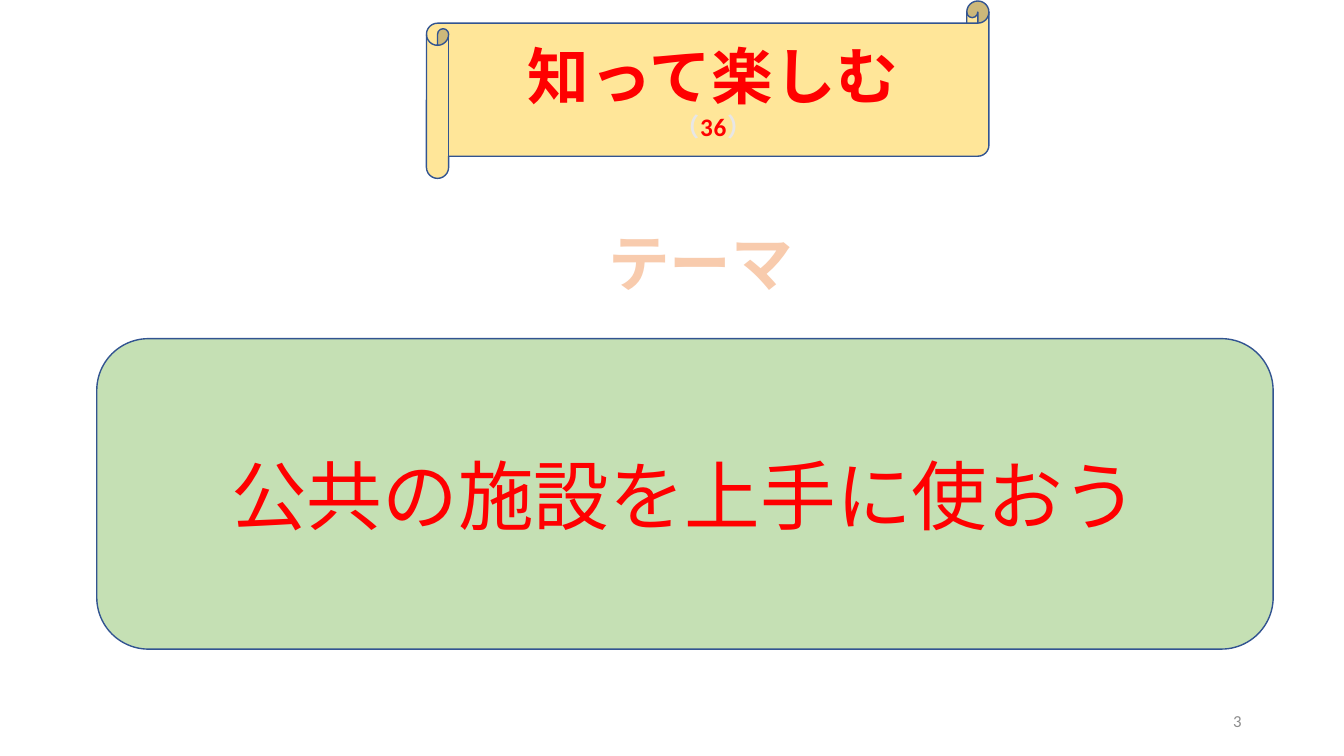
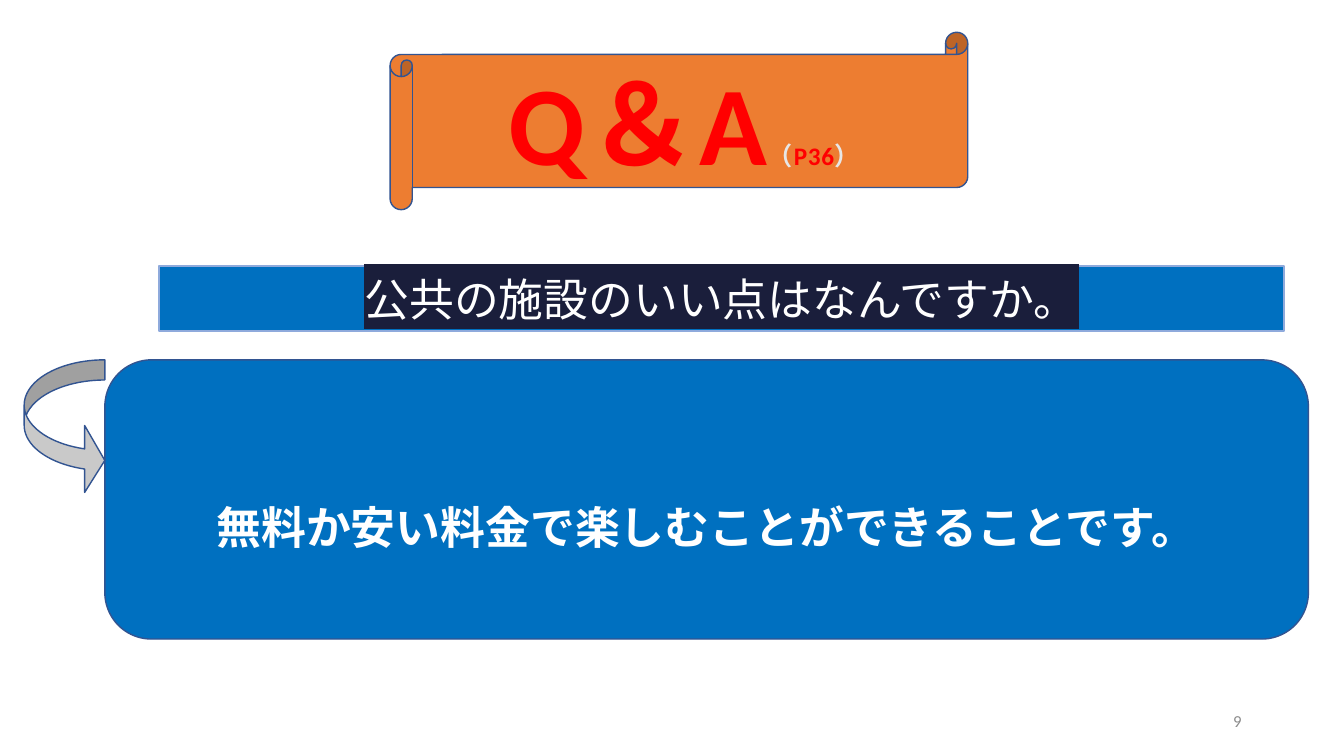
from dataclasses import dataclass

from lxml import etree
from pptx import Presentation
from pptx import util as u
from pptx.dml.color import RGBColor
from pptx.enum import lang, shapes, text
from pptx.oxml.ns import qn

COLOURS = {
    "red": "FF0000", "white": "FFFFFF", "pale": "E7E6E6", "grey": "8C8C8C",
    "silver": "C9C9C9", "navy": "325491", "sky": "8FAADC", "blue": "0070C0",
    "ink": "1A1E3B", "green": "C5E0B4", "cream": "FFE699", "orange": "ED7D31",
    "peach": "F8CBAD",
}
LATIN, JAPANESE = "Calibri", "Noto Sans CJK JP"
WIDTH, HEIGHT = u.Inches(13.333), u.Inches(7.5)
KIND = shapes.MSO_SHAPE
CENTRE, RIGHT = text.PP_ALIGN.CENTER, text.PP_ALIGN.RIGHT
TOP, MIDDLE = text.MSO_ANCHOR.TOP, text.MSO_ANCHOR.MIDDLE


@dataclass(frozen=True)
class Area:
    """Place and size, in percent of the slide's width and height."""
    left: float
    top: float
    width: float
    height: float

    def lengths(self) -> list[int]:
        return [round(share * side / 100) for share, side in
                zip((self.left, self.top, self.width, self.height),
                    (WIDTH, HEIGHT, WIDTH, HEIGHT))]


@dataclass(frozen=True)
class Span:
    words: str
    size: float
    colour: str
    bold: bool = False
    font: str = LATIN
    spacing: float = 0
    outline: str = ""
    highlight: str = ""


Lines = tuple[tuple[Span, ...], ...]


@dataclass(frozen=True)
class Box:
    area: Area
    lines: Lines = ()
    kind: KIND | None = None  # None makes a plain text box
    fill: str = ""
    line: str = "navy"
    line_width: float = 1
    align: text.PP_ALIGN = CENTRE
    anchor: text.MSO_ANCHOR = MIDDLE
    line_spacing: float = 1
    adjustments: tuple[float, ...] = ()


def rgb(name: str) -> RGBColor:
    return RGBColor.from_string(COLOURS[name])


def colour_xml(tag: str, name: str):
    """A colour-holding element such as a:highlight or a:solidFill."""
    element = etree.Element(qn(tag))
    etree.SubElement(element, qn("a:srgbClr"), val=COLOURS[name])
    return element


def add_span(para, span: Span) -> None:
    run = para.add_run()
    run.text = span.words
    formats = {"size": u.Pt(span.size), "bold": span.bold, "name": span.font,
               "language_id": lang.MSO_LANGUAGE_ID.JAPANESE}
    for name, value in formats.items():
        setattr(run.font, name, value)
    run.font.color.rgb = rgb(span.colour)

    # East Asian font, letter spacing, outline and highlight
    properties = run._r.get_or_add_rPr()
    latin = properties.find(qn("a:latin"))
    latin.addnext(etree.Element(qn("a:ea"), typeface=span.font))
    if span.spacing:
        properties.set("spc", str(round(span.spacing * 100)))
    if span.outline:
        edge = etree.Element(qn("a:ln"), w=str(u.Pt(1.75)))
        edge.append(colour_xml("a:solidFill", span.outline))
        properties.insert(0, edge)
    if span.highlight:
        latin.addprevious(colour_xml("a:highlight", span.highlight))


def add_box(page, box: Box) -> None:
    if box.kind is None:
        shape = page.shapes.add_textbox(*box.area.lengths())
    else:
        shape = page.shapes.add_shape(box.kind, *box.area.lengths())
        shape.shadow.inherit = False
        shape.fill.solid()
        shape.fill.fore_color.rgb = rgb(box.fill)
        shape.line.color.rgb = rgb(box.line)
        shape.line.width = u.Pt(box.line_width)
    for index, value in enumerate(box.adjustments):
        shape.adjustments[index] = value

    frame = shape.text_frame
    frame.word_wrap = True
    frame.vertical_anchor = box.anchor
    for index, spans in enumerate(box.lines):
        para = frame.add_paragraph() if index else frame.paragraphs[0]
        formats = {"alignment": box.align, "line_spacing": box.line_spacing}
        for name, value in formats.items():
            setattr(para, name, value)
        for span in spans:
            add_span(para, span)


def title_span(words: str, size: float, colour: str = "red") -> Span:
    return Span(words, size, colour, bold=True, spacing=0.5)


def page_reference(words: str) -> tuple[Span, ...]:
    return (title_span("（", 18, "pale"), title_span(words, 18),
            title_span("）", 18, "pale"))


def scroll(left: float, top: float, width: float, fill: str,
           lines: Lines) -> Box:
    return Box(Area(left, top, width, 23.47), lines, KIND.HORIZONTAL_SCROLL, fill)


def panel(area: Area, fill: str, span: Span, line_spacing: float = 1) -> Box:
    return Box(area, ((span,),), KIND.ROUNDED_RECTANGLE, fill,
               line_spacing=line_spacing)


def page_number(number: int) -> Box:
    return Box(Area(70.63, 92.7, 22.5, 5.33),
               ((Span(str(number), 12, "grey"),),), align=RIGHT)


ANSWER_TOP = 47.6

# Theme slide
THEME = (
    Box(Area(37.9, 29.07, 28.5, 11.2),
        ((Span("テーマ", 44, "peach", bold=True, outline="orange"),),),
        anchor=TOP),
    panel(Area(7.2, 44.8, 87.53, 41.07), "green",
          Span("公共の施設を上手に使おう", 54, "red")),
    scroll(31.73, 0.13, 41.85, "cream",
           ((title_span("知って楽しむ", 44),), page_reference("36"))),
    page_number(3),
)

# Question and answer slide
QUESTION = (
    panel(Area(7.8, ANSWER_TOP, 89.55, 36.93), "blue",
          Span("無料か安い料金で楽しむことができることです。", 32, "white", bold=True),
          line_spacing=2),
    scroll(29.03, 4.27, 42.98, "orange",
           ((title_span("Q＆A", 80), *page_reference("P36")),)),
    Box(Area(11.85, 35.2, 83.7, 8.53),
        ((Span("公共の施設のいい点はなんですか。", 32, "white", font=JAPANESE,
               highlight="ink"),),),
        KIND.RECTANGLE, "blue", line="sky", line_width=1.5),
    Box(Area(1.8, ANSWER_TOP, 6, 17.73), kind=KIND.CURVED_RIGHT_ARROW,
        fill="silver", adjustments=(0.25, 0.83, 0.25)),
    page_number(9),
)


def main() -> None:
    deck = Presentation()
    deck.slide_width, deck.slide_height = WIDTH, HEIGHT
    blank = deck.slide_layouts[6]
    for boxes in (THEME, QUESTION):
        page = deck.slides.add_slide(blank)
        for box in boxes:
            add_box(page, box)
    deck.save("out.pptx")


if __name__ == "__main__":
    main()
